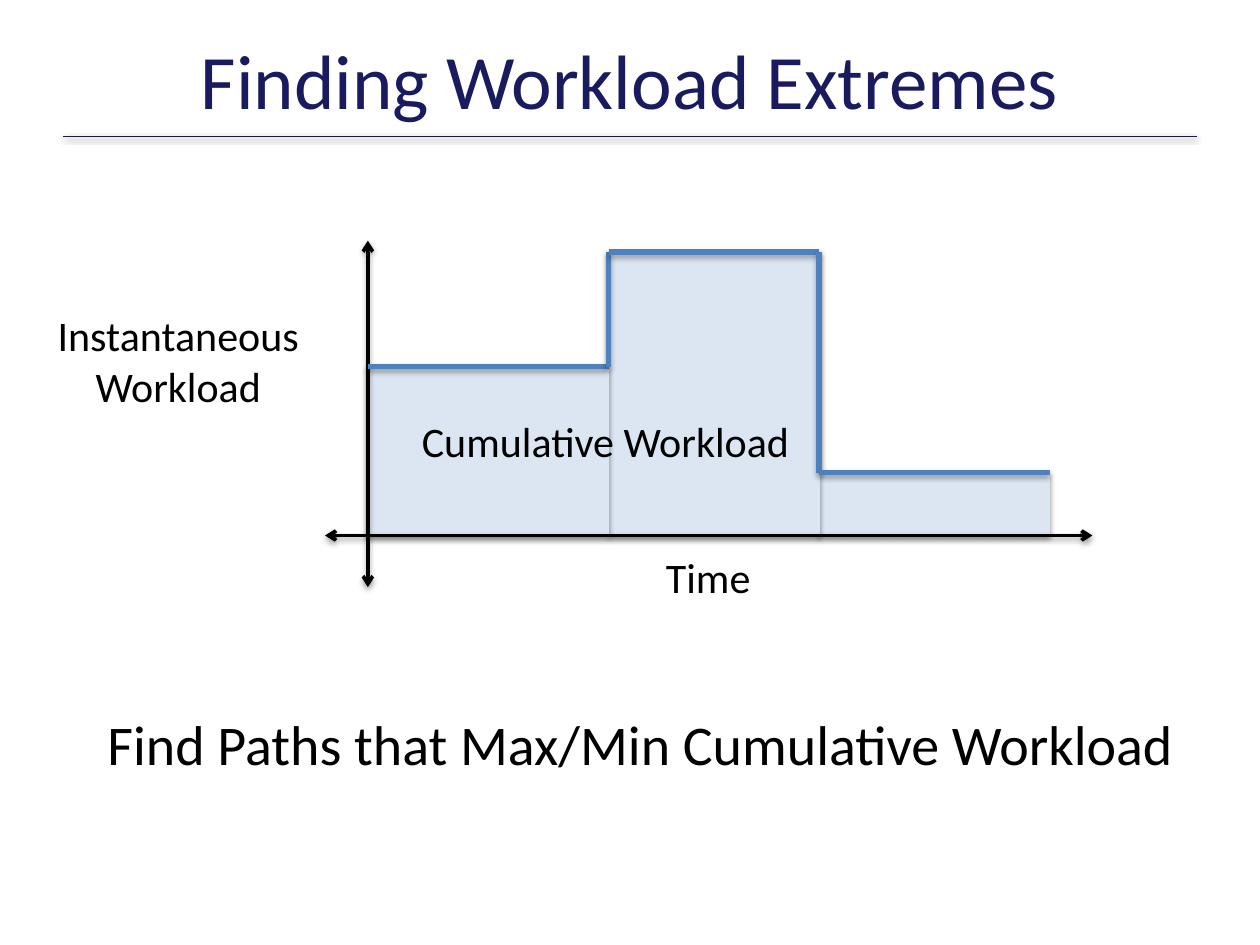
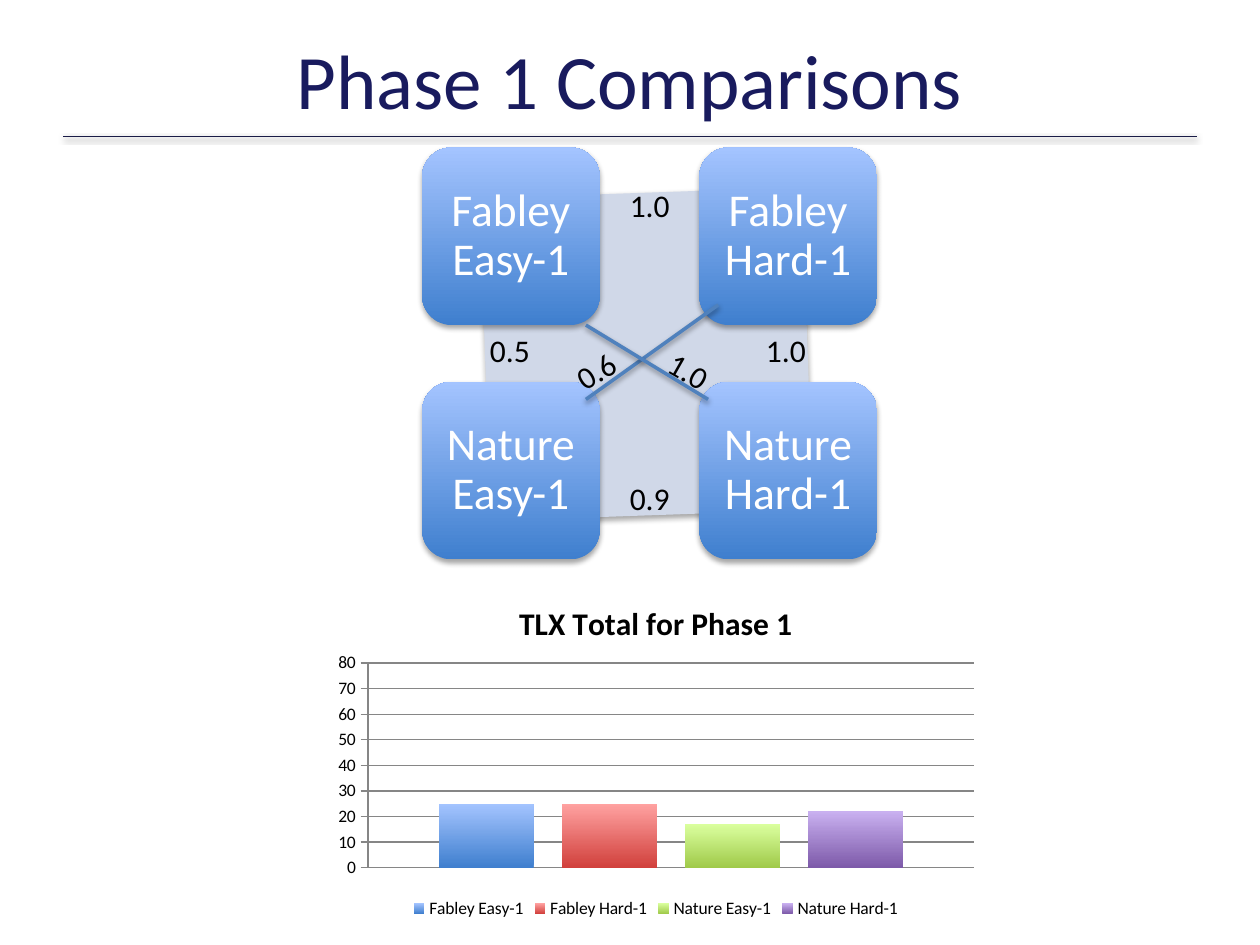
from dataclasses import dataclass
from itertools import product

from lxml.etree import Element, SubElement
from pptx import Presentation
from pptx.chart.data import CategoryChartData
from pptx.dml.color import RGBColor
from pptx.enum.chart import XL_CHART_TYPE, XL_LEGEND_POSITION, XL_TICK_MARK
from pptx.enum.shapes import MSO_CONNECTOR, MSO_SHAPE
from pptx.enum.text import MSO_ANCHOR, MSO_AUTO_SIZE, PP_ALIGN
from pptx.oxml.ns import qn
from pptx.util import Emu, Pt


@dataclass(frozen=True)
class Theme:
    """Colours and type sizes shared by the slides."""
    font: str = "Calibri"
    title: str = "191B5E"
    rule: str = "1A1C47"
    ink: str = "000000"
    white: str = "FFFFFF"
    accent: str = "4F81BD"
    area: str = "DCE6F2"
    diamond: str = "D0D8E8"
    grid: str = "868686"
    gradients: tuple = (("3F7FCE", "A4C4FF"), ("D1403C", "FFA2A1"),
                        ("A0CA4A", "DAFF9E"), ("7D5AA9", "C9B0F0"))
    title_pt: int = 44
    message_pt: int = 32
    tile_pt: int = 26
    label_pt: int = 24
    value_pt: int = 18
    chart_pt: int = 10


T = Theme()
PX = 9144
SOFT, STRONG = (20000, 38000), (23000, 35000)
CONDITIONS = ("Fabley Easy-1", "Fabley Hard-1", "Nature Easy-1", "Nature Hard-1")


def px(*values):
    """Turn px lengths into EMU."""
    return [Emu(v * PX) for v in values]


def rgb(code):
    """Return the colour for a hex code."""
    return RGBColor.from_string(code)


def assign(obj, **fmt):
    """Set each format value on the object."""
    for name, value in fmt.items():
        setattr(obj, name, value)


def style_font(font, size, color, bold=False):
    """Give a font the theme face, a size and a colour."""
    assign(font, name=T.font, size=Pt(size), bold=bold)
    font.color.rgb = rgb(color)


def add_shadow(sp, kind):
    """Add a soft shadow straight below the object."""
    dist, alpha = kind
    effects = SubElement(sp.element.spPr, qn("a:effectLst"))
    outer = SubElement(effects, qn("a:outerShdw"), blurRad="40000", dist=str(dist),
                       dir="5400000", rotWithShape="0")
    color = SubElement(outer, qn("a:srgbClr"), val=T.ink)
    SubElement(color, qn("a:alpha"), val=str(alpha))


def paint_gradient(fill, colors):
    """Fill from a dark bottom to a light top."""
    fill.gradient()
    fill.gradient_angle = 90
    for stop, color in zip(fill.gradient_stops, colors):
        stop.color.rgb = rgb(color)


def write(tf, text, size, color, align=PP_ALIGN.CENTER, spacing=None):
    """Write one paragraph for each line of text."""
    for i, line in enumerate(text.split("\n")):
        p = tf.add_paragraph() if i else tf.paragraphs[0]
        assign(p, alignment=align, line_spacing=spacing)
        r = p.add_run()
        r.text = line
        style_font(r.font, size, color)


def add_label(s, box, text, size, color=T.ink, align=PP_ALIGN.CENTER, rotation=0, **fmt):
    """Add a text box."""
    sp = s.shapes.add_textbox(*px(*box))
    sp.rotation = rotation
    assign(sp.text_frame, **{"word_wrap": True, **fmt})
    write(sp.text_frame, text, size, color, align)


def add_line(s, start, end, color, width, shadow=SOFT, arrows=False):
    """Add a straight line, with arrowheads at both ends if asked."""
    c = s.shapes.add_connector(MSO_CONNECTOR.STRAIGHT, *px(*start, *end))
    c.line.width = Pt(width)
    c.line.color.rgb = rgb(color)
    if arrows:
        for tag in ("a:headEnd", "a:tailEnd"):
            SubElement(c.line._get_or_add_ln(), qn(tag), type="arrow")
    add_shadow(c, shadow)


def add_block(s, kind, box, fill, line=None, shadow=STRONG, rotation=0):
    """Add a preset shape with a flat or a gradient fill."""
    sp = s.shapes.add_shape(kind, *px(*box))
    sp.rotation = rotation
    if isinstance(fill, tuple):
        paint_gradient(sp.fill, fill)
    else:
        sp.fill.solid()
        sp.fill.fore_color.rgb = rgb(fill)
    if line:
        sp.line.color.rgb = rgb(line)
        sp.line.width = Pt(0.75)
    else:
        sp.line.fill.background()
    add_shadow(sp, shadow)
    return sp


def add_tile(s, left, top, text):
    """Add a rounded tile that names a condition."""
    sp = add_block(s, MSO_SHAPE.ROUNDED_RECTANGLE, (left, top, 141, 141), T.gradients[0])
    inset, = px(10)
    assign(sp.text_frame, word_wrap=True, vertical_anchor=MSO_ANCHOR.MIDDLE,
           margin_left=inset, margin_right=inset, margin_top=inset, margin_bottom=inset)
    write(sp.text_frame, text, T.tile_pt, T.white, spacing=0.9)


def add_titled_slide(prs, title):
    """Add a blank slide with the title and the rule below it."""
    s = prs.slides.add_slide(prs.slide_layouts[6])
    add_line(s, (50, 108), (950, 108), T.rule, 0.25)
    add_label(s, (50, 17, 900, 91), title, T.title_pt, T.title,
              vertical_anchor=MSO_ANCHOR.MIDDLE)
    return s


def place_plot(chart, **fractions):
    """Fix the inner plot area as fractions of the chart."""
    area = chart.element.find(".//" + qn("c:plotArea"))
    for old in area.findall(qn("c:layout")):
        area.remove(old)
    layout = Element(qn("c:layout"))
    area.insert(0, layout)
    manual = SubElement(layout, qn("c:manualLayout"))
    SubElement(manual, qn("c:layoutTarget"), val="inner")
    for name in "xy":
        SubElement(manual, qn(f"c:{name}Mode"), val="edge")
    for name, value in fractions.items():
        SubElement(manual, qn(f"c:{name}"), val=str(value))


def add_column_chart(s, box, title, names, values):
    """Add a column chart with one series for each name."""
    data = CategoryChartData()
    data.categories = ["1"]
    for name, value in zip(names, values):
        data.add_series(name, [value])
    chart = s.shapes.add_chart(XL_CHART_TYPE.COLUMN_CLUSTERED, *px(*box), data).chart
    style_font(chart.font, T.chart_pt, T.ink)
    assign(chart, has_title=True, has_legend=True)
    tf = chart.chart_title.text_frame
    tf.text = title
    style_font(tf.paragraphs[0].runs[0].font, T.value_pt, T.ink, bold=True)
    assign(chart.legend, position=XL_LEGEND_POSITION.BOTTOM, include_in_layout=False)
    chart.category_axis.visible = False
    axis = chart.value_axis
    assign(axis, minimum_scale=0, maximum_scale=80, major_unit=10,
           has_major_gridlines=True, major_tick_mark=XL_TICK_MARK.OUTSIDE)
    for line in (axis.format.line, axis.major_gridlines.format.line):
        line.color.rgb = rgb(T.grid)
        line.width = Pt(0.75)
    plot = chart.plots[0]
    assign(plot, gap_width=150, overlap=-30, vary_by_categories=False)
    for series, colors in zip(plot.series, T.gradients):
        paint_gradient(series.format.fill, colors)
    place_plot(chart, x=0.065, y=0.237, w=0.916, h=0.6)


def build_extremes(prs):
    """Build the slide on the step curve of workload over time."""
    s = add_titled_slide(prs, "Finding Workload Extremes")
    base = 425
    steps = [(292, 291), (483, 291), (483, 200), (650, 200), (650, 375), (833, 375)]
    for (left, top), (right, _) in reversed(list(zip(steps[::2], steps[1::2]))):
        add_block(s, MSO_SHAPE.RECTANGLE, (left, top, right - left, base - top),
                  T.area, T.area, SOFT)
    add_line(s, (292, 191), (292, 466), T.ink, 2, arrows=True)
    add_line(s, (258, base), (867, base), T.ink, 2, arrows=True)
    for start, end in zip(steps, steps[1:]):
        add_line(s, start, end, T.accent, 3, STRONG)
    grow = {"auto_size": MSO_AUTO_SIZE.SHAPE_TO_FIT_TEXT}
    add_label(s, (483, 433, 158, 50), "Time", T.label_pt, **grow)
    add_label(s, (25, 241, 233, 91), "Instantaneous\nWorkload", T.label_pt, **grow)
    add_label(s, (325, 325, 317, 50), "Cumulative Workload", T.label_pt,
              align=PP_ALIGN.LEFT, **grow)
    add_label(s, (67, 558, 883, 64), "Find Paths that Max/Min Cumulative Workload",
              T.message_pt, **grow)


def build_comparisons(prs):
    """Build the slide that compares the four conditions."""
    s = add_titled_slide(prs, "Phase 1 Comparisons")
    add_column_chart(s, (258, 462, 525, 271), "TLX Total for Phase 1",
                     CONDITIONS, (25, 25, 17, 22))
    add_block(s, MSO_SHAPE.DIAMOND, (332, 100, 362, 362), T.diamond, rotation=43)
    for (top, left), text in zip(product((117, 303), (335, 555)), CONDITIONS):
        add_tile(s, left, top, text)
    for start, end in (((465, 317), (570, 242)), ((562, 317), (465, 258))):
        add_line(s, start, end, T.accent, 2)
    for left, top, text, rotation in ((490, 143, "1.0", 0), (598, 258, "1.0", 0),
                                      (379, 258, "0.5", 0), (490, 375, "0.9", 0),
                                      (447, 274, "0.6", 327.7), (521, 274, "1.0", 29.6)):
        add_label(s, (left, top, 52, 40), text, T.value_pt, align=PP_ALIGN.LEFT,
                  rotation=rotation, word_wrap=False,
                  auto_size=MSO_AUTO_SIZE.SHAPE_TO_FIT_TEXT)


def main():
    """Build the two slides and save them."""
    prs = Presentation()
    prs.slide_width, prs.slide_height = px(1000, 750)
    build_extremes(prs)
    build_comparisons(prs)
    prs.save("out.pptx")


if __name__ == "__main__":
    main()
